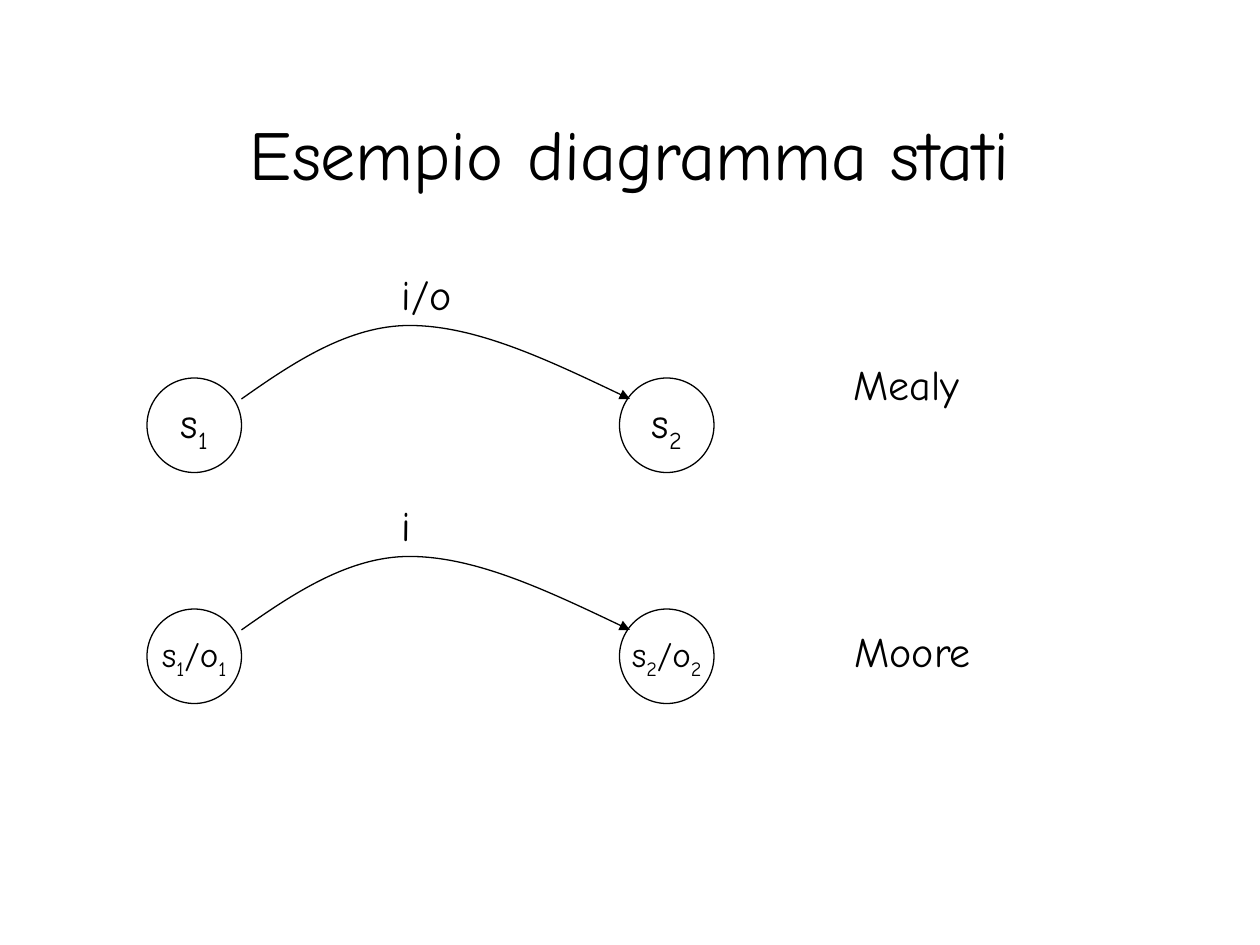
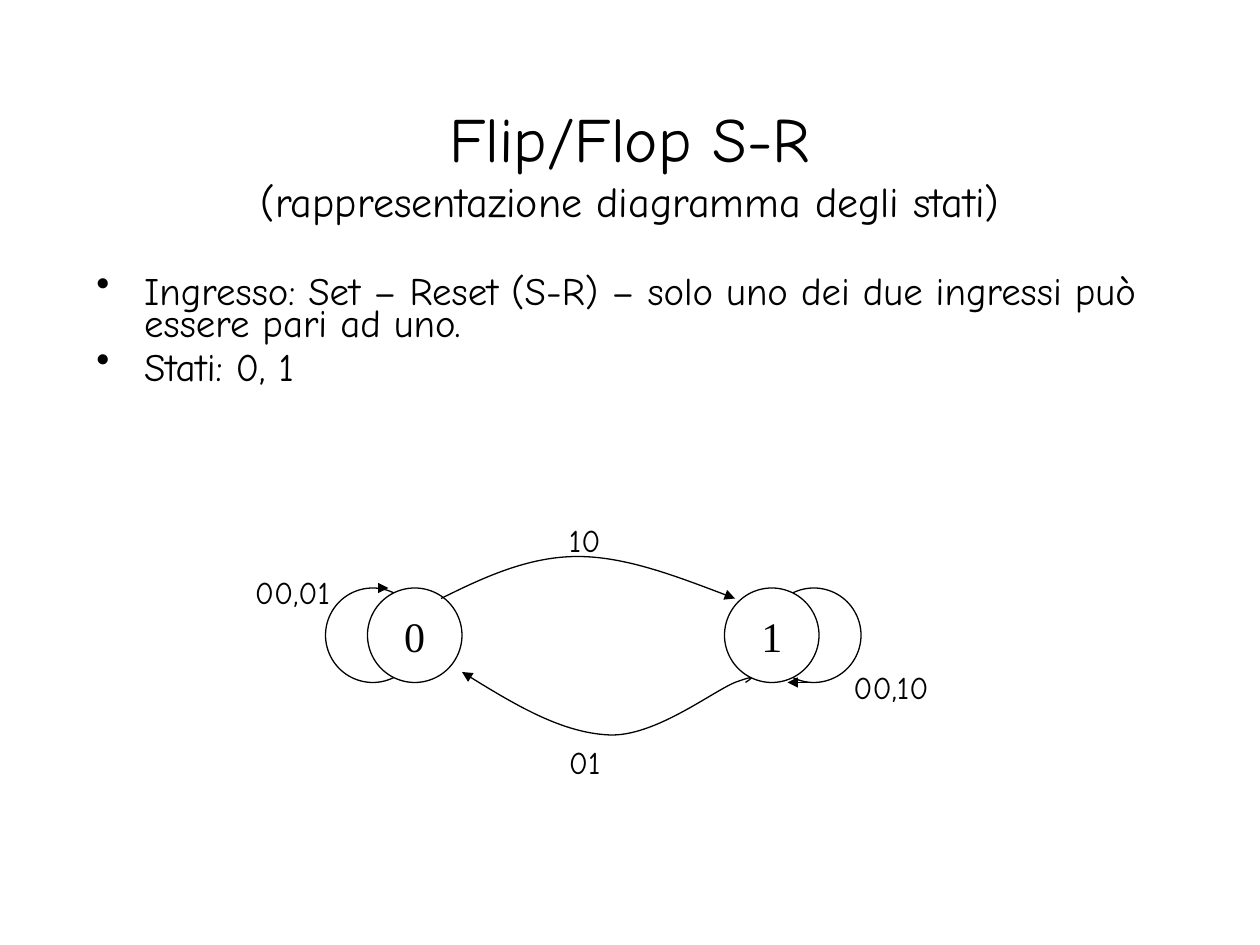
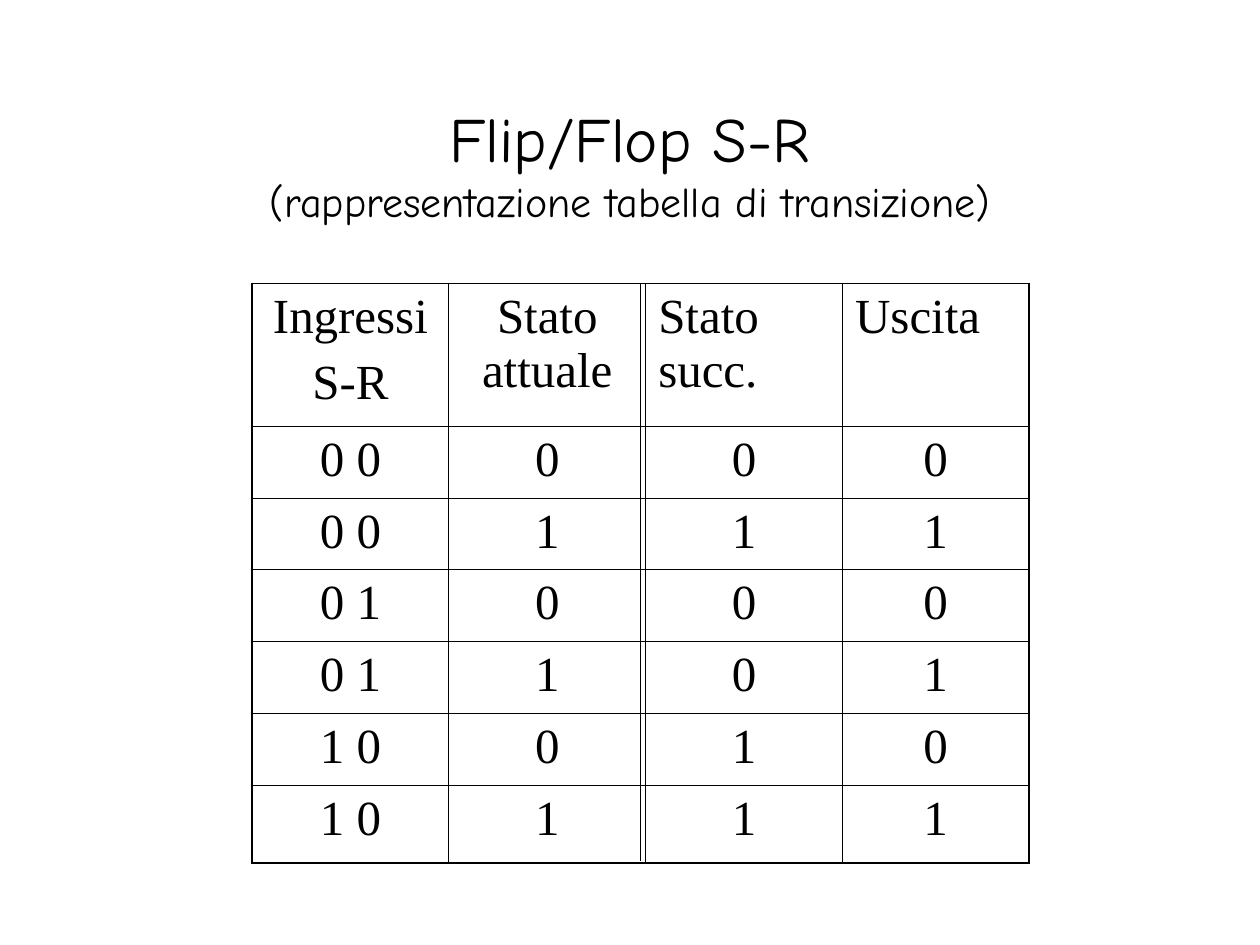
"""Three slides on state diagrams and the S-R flip-flop, on a 120 by 90 grid."""
from dataclasses import dataclass

from lxml.etree import SubElement
from pptx import Presentation
from pptx.dml.color import RGBColor
from pptx.enum.shapes import MSO_CONNECTOR, MSO_SHAPE
from pptx.enum.text import MSO_ANCHOR, MSO_AUTO_SIZE, PP_ALIGN
from pptx.oxml.ns import qn
from pptx.util import Inches, Pt


@dataclass(frozen=True)
class Theme:
    """Colours, fonts, type sizes and line widths."""
    ink: RGBColor = RGBColor(0, 0, 0)
    paper: RGBColor = RGBColor(255, 255, 255)
    hand: str = "Comic Neue"
    serif: str = "Times New Roman"
    title: float = 40
    title_small: float = 36
    subtitle: float = 24
    body: float = 22.2
    label: float = 24
    pair: float = 20
    edge: float = 18
    cell: float = 28
    stroke: float = 0.75
    inner: float = 0.45
    outer: float = 1.08


THEME = Theme()
UNIT = Inches(10) // 120
NODE = 9


def grid(*values):
    """Turn grid steps into lengths."""
    return [round(v * UNIT) for v in values]


def add_run(p, text, size, font=THEME.hand, subscript=False):
    """Add one styled run to a paragraph."""
    r = p.add_run()
    r.text = text
    r.font.size, r.font.name = Pt(size), font
    r.font.color.rgb = THEME.ink
    if subscript:
        r._r.get_or_add_rPr().set("baseline", "-25000")


def add_title(s, top, text, size, subtitle=None):
    """Add the centred slide title with an optional second line."""
    tf = s.shapes.add_textbox(*grid(9, top, 102, 15)).text_frame
    tf.word_wrap, tf.vertical_anchor = True, MSO_ANCHOR.MIDDLE
    p = tf.paragraphs[0]
    p.alignment = PP_ALIGN.CENTER
    add_run(p, text, size)
    if subtitle:
        p.add_line_break()
        add_run(p, subtitle, THEME.subtitle)


def add_bullets(s, left, top, width, height, items):
    """Add a bulleted list with hanging indents."""
    tf = s.shapes.add_textbox(*grid(left, top, width, height)).text_frame
    tf.word_wrap = True
    for i, item in enumerate(items):
        p = tf.add_paragraph() if i else tf.paragraphs[0]
        p.line_spacing, p.space_before = 0.7, Pt(6)
        pPr = p._p.get_or_add_pPr()
        indent = Inches(0.38)
        pPr.set("marL", str(indent))
        pPr.set("indent", str(-indent))
        SubElement(pPr, qn("a:buChar")).set("char", "•")
        add_run(p, item, THEME.body)


def add_label(shapes, left, top, width, text, size=THEME.label):
    """Add a one-line text that does not wrap."""
    tf = shapes.add_textbox(*grid(left, top, width, size * 0.2 + 1.2)).text_frame
    tf.word_wrap, tf.auto_size = False, MSO_AUTO_SIZE.SHAPE_TO_FIT_TEXT
    add_run(tf.paragraphs[0], text, size)


def add_node(shapes, left, top, parts=(), size=THEME.label, font=THEME.hand):
    """Add a state circle; every second part of its name is a subscript."""
    sp = shapes.add_shape(MSO_SHAPE.OVAL, *grid(left, top, NODE, NODE))
    sp.shadow.inherit = False
    sp.fill.solid()
    sp.fill.fore_color.rgb = THEME.paper
    sp.line.color.rgb, sp.line.width = THEME.ink, Pt(THEME.stroke)
    tf = sp.text_frame
    tf.word_wrap, tf.vertical_anchor = False, MSO_ANCHOR.MIDDLE
    p = tf.paragraphs[0]
    p.alignment = PP_ALIGN.CENTER
    for i, part in enumerate(parts):
        add_run(p, part, size, font, subscript=i % 2 == 1)


def style_line(sp, arrow=True):
    """Give a line its ink, width and arrowhead."""
    sp.line.color.rgb, sp.line.width = THEME.ink, Pt(THEME.stroke)
    if arrow:
        SubElement(sp.line._get_or_add_ln(), qn("a:tailEnd")).set("type", "triangle")


def add_line(shapes, start, end, arrow=True):
    """Add a straight line, by default with an arrowhead."""
    sp = shapes.add_connector(MSO_CONNECTOR.STRAIGHT, *grid(*start, *end))
    style_line(sp, arrow)
    SubElement(sp._element.spPr, qn("a:effectLst"))


def add_curve(shapes, points):
    """Add an arrow of cubic curves: a start, then three points for each curve."""
    start, *rest = [grid(*point) for point in points]
    builder = shapes.build_freeform(*start)
    builder.add_line_segments(rest, close=False)
    sp = builder.convert_to_shape()
    sp.shadow.inherit = False
    sp.fill.background()
    style_line(sp)
    path = next(sp._element.iter(qn("a:path")))
    steps = path.findall(qn("a:lnTo"))
    for i in range(0, len(steps), 3):
        curve = SubElement(path, qn("a:cubicBezTo"))
        for step in steps[i:i + 3]:
            curve.append(step[0])
            path.remove(step)


def arc(start, peak, end):
    """Return the curve points of an arc that is level at its peak."""
    (x0, y0), (x1, y1), (x2, y2) = start, peak, end
    rise, fall = x1 - x0, x2 - x1
    return [start, (x0 + 0.31 * rise, (y0 + y1) / 2), (x0 + 0.64 * rise, y1), peak,
            (x1 + 0.3 * fall, y1), (x1 + 0.65 * fall, (y1 + y2) / 2), end]


def set_borders(cell, widths):
    """Draw the left, right, top and bottom borders of a cell."""
    tcPr = cell._tc.get_or_add_tcPr()
    for i, (side, width) in enumerate(zip("LRTB", widths)):
        ln = SubElement(tcPr, qn(f"a:ln{side}"), w=str(Pt(width)))
        fill = SubElement(ln, qn("a:solidFill"))
        SubElement(fill, qn("a:srgbClr")).set("val", str(THEME.ink))
        tcPr.insert(i, ln)


def fill_cell(cell, text, alignment):
    """Write the paragraphs of a table cell."""
    cell.fill.background()
    tf = cell.text_frame
    for i, line in enumerate(text.split("\n")):
        p = tf.add_paragraph() if i else tf.paragraphs[0]
        p.alignment, p.space_before = alignment, Pt(7)
        add_run(p, line, THEME.cell, THEME.serif)


def add_grid_table(s, left, top, cols, rows, data):
    """Add a plain table with a heavier outer frame."""
    frame = s.shapes.add_table(len(rows), len(cols), *grid(left, top, sum(cols), sum(rows)))
    table = frame.table
    table.first_row = table.horz_banding = False
    for lane, width in zip(table.columns, grid(*cols)):
        lane.width = width
    for lane, height in zip(table.rows, grid(*rows)):
        lane.height = height
    last_row, last_col = len(rows) - 1, len(cols) - 1
    for i, record in enumerate(data):
        for j, text in enumerate(record):
            cell = table.cell(i, j)
            left_head = i == 0 and j >= 2
            fill_cell(cell, text, PP_ALIGN.LEFT if left_head else PP_ALIGN.CENTER)
            on_frame = (j == 0, j == last_col, i == 0, i == last_row)
            set_borders(cell, [THEME.outer if edge else THEME.inner for edge in on_frame])


def add_transition(s, top, names, size, label, width):
    """Add two states joined by a labelled arc."""
    for left, name in zip((14, 59), names):
        add_node(s.shapes, left, top, name, size)
    add_curve(s.shapes, arc((23, top + 2), (39, top - 5), (60, top + 2)))
    add_label(s.shapes, 37.1, top - 11, width, label)


def state_examples(s):
    """Compare Mealy and Moore transitions."""
    add_title(s, 7, "Esempio diagramma stati", THEME.title)
    add_transition(s, 36, [("s", "1"), ("s", "2")], THEME.label, "i/o", 7.4)
    add_transition(s, 58, [("s", n, "/o", n) for n in "12"], THEME.pair, "i", 3.3)
    add_label(s.shapes, 80.1, 33.6, 14, "Mealy")
    add_label(s.shapes, 80.2, 59, 13.9, "Moore")


def flip_flop_diagram(s):
    """Show the flip-flop as a state diagram."""
    add_title(s, 8, "Flip/Flop S-R", THEME.title_small,
              "(rappresentazione diagramma degli stati)")
    add_bullets(s, 8, 26, 102, 12, [
        "Ingresso: Set – Reset (S-R) – solo uno dei due ingressi può essere pari ad uno.",
        "Stati: 0, 1"])
    shapes = s.shapes.add_group_shape().shapes
    for left, name in ((73, ""), (31, ""), (35, "0"), (69, "1")):
        add_node(shapes, left, 56, name, font=THEME.serif)
    add_curve(shapes, arc((42, 57), (55, 53), (70, 57)))
    add_curve(shapes, [(71, 65), (71.6, 64.6), (72.2, 64.2), (70, 65), (67.8, 65.9),
                       (62.3, 70.2), (58, 70), (53.6, 69.8), (48.8, 67), (44, 64)])
    add_line(shapes, (36, 56), (37, 56))
    add_line(shapes, (78, 65), (75, 65))
    for left, top, width, text in ((53, 49, 5.6, "10"), (53, 70.2, 5.6, "01"),
                                   (80.1, 63, 9.9, "00,10"), (23.1, 54, 9.9, "00,01")):
        add_label(shapes, left, top, width, text, THEME.edge)


def flip_flop_table(s):
    """Show the flip-flop as a transition table."""
    add_title(s, 8, "Flip/Flop S-R", THEME.title_small,
              "(rappresentazione tabella di transizione)")
    add_grid_table(s, 24, 27, [18.75] * 3 + [17.75], [13.6] + [6.84] * 5 + [7.4], [
        ("Ingressi\nS-R", "Stato attuale", "Stato succ.", "Uscita"),
        ("0 0", "0", "0", "0"),
        ("0 0", "1", "1", "1"),
        ("0 1", "0", "0", "0"),
        ("0 1", "1", "0", "1"),
        ("1 0", "0", "1", "0"),
        ("1 0", "1", "1", "1")])
    add_line(s.shapes, (61, 27), (61, 82), arrow=False)


def main():
    """Build and save the presentation."""
    prs = Presentation()
    prs.slide_width, prs.slide_height = grid(120, 90)
    for build in (state_examples, flip_flop_diagram, flip_flop_table):
        build(prs.slides.add_slide(prs.slide_layouts[6]))
    prs.save("out.pptx")


if __name__ == "__main__":
    main()
